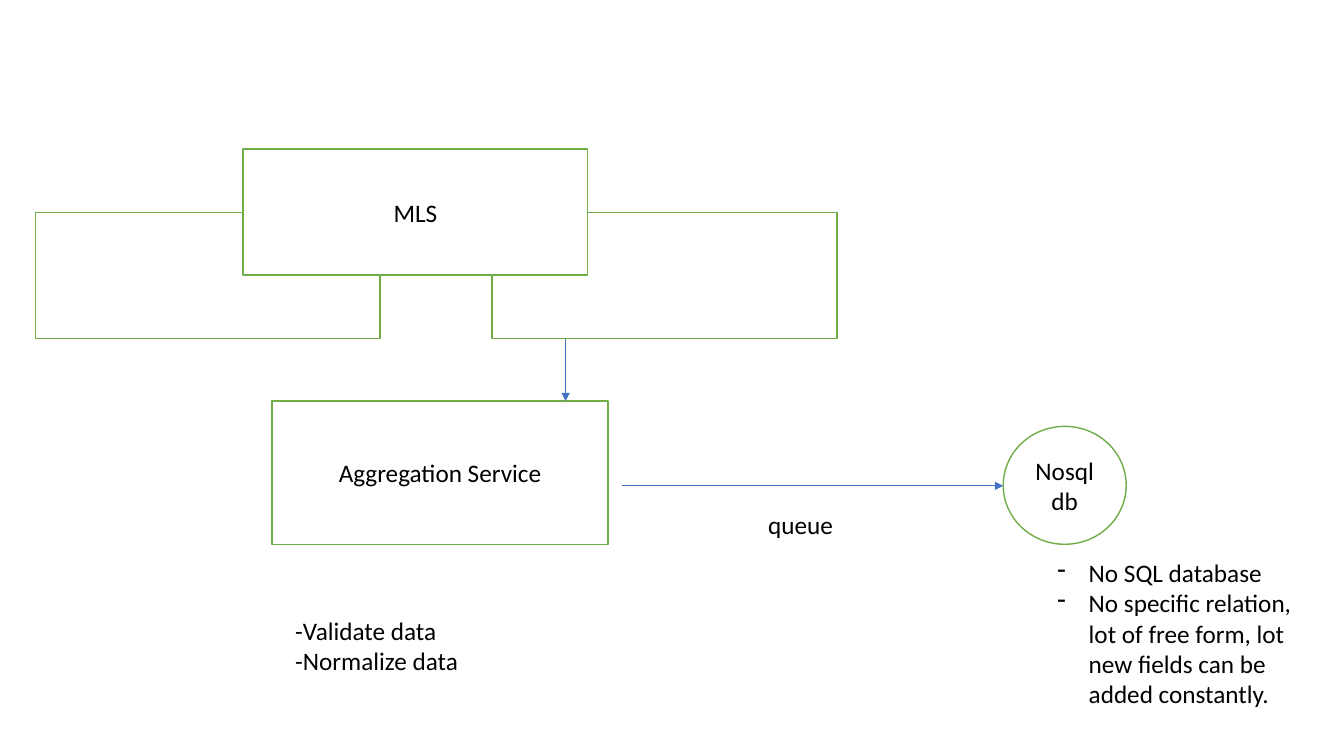
from dataclasses import dataclass

from lxml import etree
from pptx import Presentation
from pptx.dml.color import RGBColor
from pptx.enum.shapes import MSO_CONNECTOR as Connector, MSO_SHAPE as Preset
from pptx.enum.text import MSO_ANCHOR as Anchor, MSO_AUTO_SIZE as AutoSize, PP_ALIGN as Align
from pptx.oxml.ns import qn
from pptx.util import Inches, Pt

GREEN, BLUE, WHITE, BLACK = "70AD47", "4472C4", "FFFFFF", "000000"


@dataclass
class Node:
    left: float
    top: float
    width: float
    height: float
    label: str = ""
    preset: Preset = Preset.RECTANGLE


@dataclass
class Note:
    left: float
    top: float
    width: float
    height: float
    lines: list[str]
    bullet: str = ""


@dataclass
class Arrow:
    start: tuple[float, float]
    end: tuple[float, float]


def color(value: str) -> RGBColor:
    return RGBColor.from_string(value)


def write(frame, lines: list[str], align=Align.LEFT, anchor=Anchor.TOP, size=18,
          font="Calibri", ink=BLACK, bullet="", indent=0.31) -> None:
    frame.word_wrap = True
    frame.vertical_anchor = anchor
    for index, line in enumerate(lines):
        paragraph = frame.add_paragraph() if index else frame.paragraphs[0]
        paragraph.alignment = align
        run = paragraph.add_run()
        run.text = line
        run.font.size, run.font.name = Pt(size), font
        run.font.color.rgb = color(ink)
        if bullet:
            props = paragraph._p.get_or_add_pPr()
            props.set("marL", str(Inches(indent)))
            props.set("indent", str(-Inches(indent)))
            etree.SubElement(props, qn("a:buFontTx"))
            etree.SubElement(props, qn("a:buChar"), char=bullet)


def draw_node(slide, node: Node) -> None:
    shape = slide.shapes.add_shape(node.preset, Inches(node.left), Inches(node.top),
                                   Inches(node.width), Inches(node.height))
    shape.shadow.inherit = False
    shape.fill.solid()
    shape.fill.fore_color.rgb = color(WHITE)
    shape.line.color.rgb = color(GREEN)
    shape.line.width = Pt(1)
    if node.label:
        write(shape.text_frame, [node.label], align=Align.CENTER, anchor=Anchor.MIDDLE)


def draw_note(slide, note: Note) -> None:
    box = slide.shapes.add_textbox(Inches(note.left), Inches(note.top),
                                   Inches(note.width), Inches(note.height))
    write(box.text_frame, note.lines, bullet=note.bullet)
    box.text_frame.auto_size = AutoSize.SHAPE_TO_FIT_TEXT


def draw_arrow(slide, arrow: Arrow) -> None:
    points = [Inches(value) for value in (*arrow.start, *arrow.end)]
    connector = slide.shapes.add_connector(Connector.STRAIGHT, *points)
    connector.line.color.rgb = color(BLUE)
    connector.line.width = Pt(0.5)
    etree.SubElement(connector.line._get_or_add_ln(), qn("a:tailEnd"), type="triangle")
    etree.SubElement(connector._element.spPr, qn("a:effectLst"))


deck = Presentation()
deck.slide_width, deck.slide_height = Inches(13.33), Inches(7.5)
slide = deck.slides.add_slide(deck.slide_layouts[6])

# Services, listing sources and database, back to front
SOURCE_SIZE = (3.42, 1.25)
nodes = [
    Node(2.7, 3.98, 3.33, 1.42, "Aggregation Service"),
    Node(4.88, 2.11, *SOURCE_SIZE),
    Node(0.35, 2.11, *SOURCE_SIZE),
    Node(2.41, 1.48, *SOURCE_SIZE, "MLS"),
    Node(9.95, 4.23, 1.22, 1.17, "Nosql db", Preset.OVAL),
]
for node in nodes:
    draw_node(slide, node)

# Data flow: sources to aggregation, aggregation to database
for arrow in (Arrow((5.61, 3.36), (5.61, 3.98)), Arrow((6.17, 4.82), (9.95, 4.82))):
    draw_arrow(slide, arrow)

# Notes on each step
notes = [
    Note(2.83, 6.05, 3.34, 0.71, ["-Validate data", "-Normalize data"]),
    Note(7.52, 5, 0.97, 0.4, ["queue"]),
    Note(10.39, 5.48, 2.53, 1.62, [
        "No SQL database",
        "No specific relation, lot of free form, lot new fields can be added constantly.",
    ], bullet="-"),
]
for note in notes:
    draw_note(slide, note)

deck.save("out.pptx")
